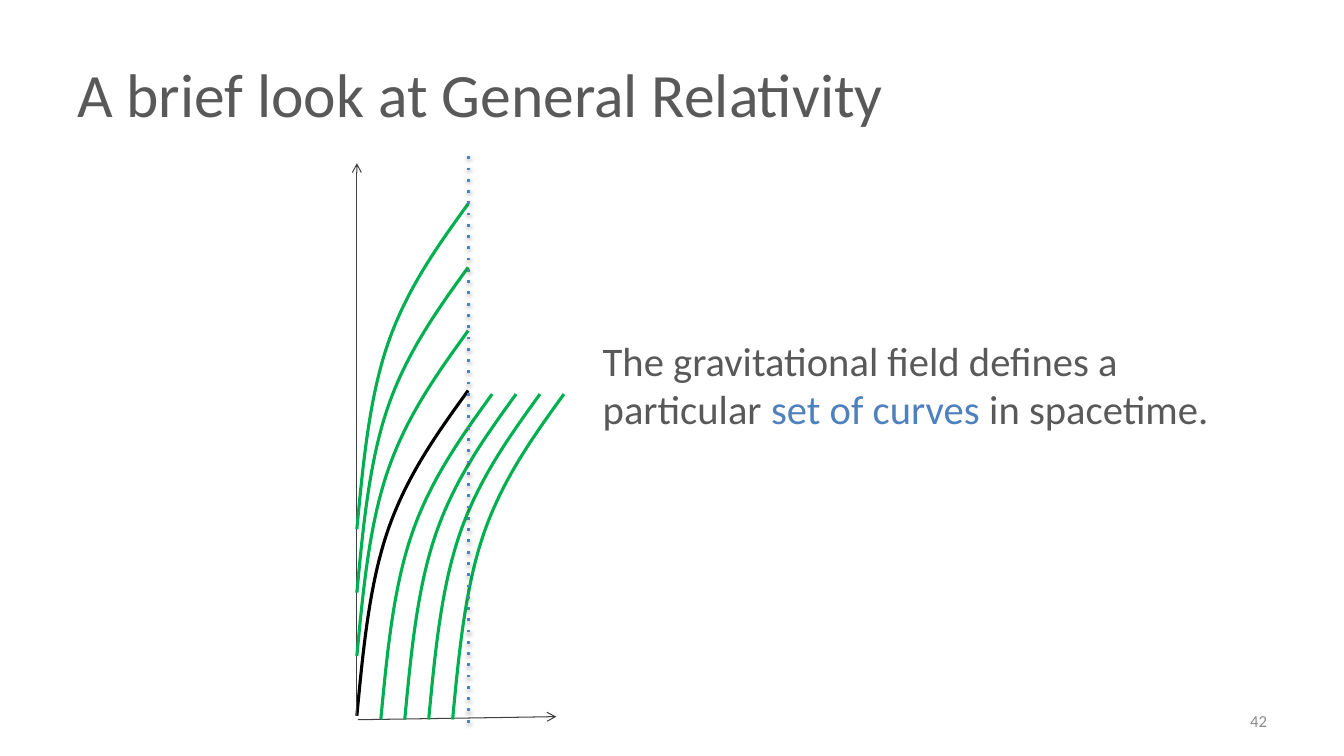
"""Slide on General Relativity: a family of free-fall curves in spacetime."""
from lxml import etree
from pptx import Presentation
from pptx.dml.color import RGBColor
from pptx.enum import shapes, text
from pptx.oxml import ns
from pptx.util import Pt

GREY = RGBColor(0x59, 0x59, 0x59)
PALE = RGBColor(0x8C, 0x8C, 0x8C)
DARK = RGBColor(0x40, 0x40, 0x40)
BLUE = RGBColor(0x4F, 0x81, 0xBD)
GREEN = RGBColor(0x00, 0xB0, 0x50)
BLACK = RGBColor(0, 0, 0)

MIDDLE, TOP = text.MSO_ANCHOR.MIDDLE, text.MSO_ANCHOR.TOP
LEFT, RIGHT = text.PP_ALIGN.LEFT, text.PP_ALIGN.RIGHT
TEXTS = [
    {"area": (48, 21.6, 864, 90), "anchor": MIDDLE, "align": LEFT, "size": 44,
     "spans": [("A brief look at General Relativity", GREY)]},
    {"area": (825.8, 500.4, 86.4, 28.8), "anchor": MIDDLE, "align": RIGHT, "size": 12,
     "spans": [("42", PALE)]},
    {"area": (423.4, 236.2, 481.7, 85), "anchor": TOP, "align": LEFT, "size": 29,
     "spans": [("The gravitational field defines a particular ", GREY),
               ("set of curves ", BLUE), ("in spacetime.", GREY)]},
]

BEZIER = [(4.5, -47.2), (8.9, -94.2), (22.3, -132.8),
          (35.6, -171.4), (57.5, -202), (79.5, -232.4)]
ORIGIN_X, ORIGIN_Y = 254.9, 511.3
RISE, STEP = 45.3, 17.1
AXES = [((254.9, 511.3), (254.9, 116.6)), ((255.6, 514.1), (397.4, 511.9))]
HORIZON = ((334.5, 111.6), (334.5, 517))


def add_text(page, item):
    box = page.shapes.add_textbox(*map(Pt, item["area"]))
    frame = box.text_frame
    for name, value in {"word_wrap": True, "vertical_anchor": item["anchor"]}.items():
        setattr(frame, name, value)
    para = frame.paragraphs[0]
    para.alignment = item["align"]
    for words, color in item["spans"]:
        span = para.add_run()
        span.text = words
        for name, value in {"name": "Calibri", "size": Pt(item["size"])}.items():
            setattr(span.font, name, value)
        span.font.color.rgb = color


def add_curve(group, x, y, color):
    builder = group.shapes.build_freeform(Pt(x), Pt(y))
    builder.add_line_segments([(Pt(x + dx), Pt(y + dy)) for dx, dy in BEZIER], close=False)
    curve = builder.convert_to_shape()
    curve.shadow.inherit = False
    curve.fill.background()
    curve.line.color.rgb = color
    curve.line.width = Pt(2.25)
    segments = list(curve._element.iter(ns.qn("a:lnTo")))
    outline = segments[0].getparent()
    for first in range(0, len(segments), 3):
        cubic = etree.SubElement(outline, ns.qn("a:cubicBezTo"))
        for segment in segments[first:first + 3]:
            cubic.append(segment[0])
            outline.remove(segment)


def add_line(group, ends, color, width, style, value):
    (x1, y1), (x2, y2) = ends
    line = group.shapes.add_connector(shapes.MSO_CONNECTOR.STRAIGHT, Pt(x1), Pt(y1), Pt(x2), Pt(y2))
    line.line.color.rgb = color
    line.line.width = Pt(width)
    etree.SubElement(line.line._get_or_add_ln(), ns.qn(style)).attrib.update(value)
    return etree.SubElement(line._element.spPr, ns.qn("a:effectLst"))


def add_shadow(effects):
    shadow = etree.SubElement(effects, ns.qn("a:outerShdw"), blurRad=str(Pt(3.1)),
                              dist=str(Pt(1.6)), dir="5400000", rotWithShape="0")
    color = etree.SubElement(shadow, ns.qn("a:srgbClr"), val=str(BLACK))
    etree.SubElement(color, ns.qn("a:alpha"), val="38000")


def main():
    deck = Presentation()
    deck.slide_width, deck.slide_height = Pt(960), Pt(540)
    page = deck.slides.add_slide(deck.slide_layouts[6])
    for item in TEXTS[:2]:
        add_text(page, item)
    diagram = page.shapes.add_group_shape()
    add_curve(diagram, ORIGIN_X, ORIGIN_Y, BLACK)
    for axis in AXES:
        add_line(diagram, axis, DARK, 0.75, "a:tailEnd", {"type": "arrow"})
    for count in range(1, 4):
        add_curve(diagram, ORIGIN_X, ORIGIN_Y + 2.6 - count * RISE, GREEN)
    for count in range(1, 5):
        add_curve(diagram, ORIGIN_X + count * STEP, ORIGIN_Y + 2.6, GREEN)
    add_shadow(add_line(diagram, HORIZON, BLUE, 2, "a:prstDash", {"val": "dot"}))
    add_text(page, TEXTS[2])
    deck.save("out.pptx")


if __name__ == "__main__":
    main()
